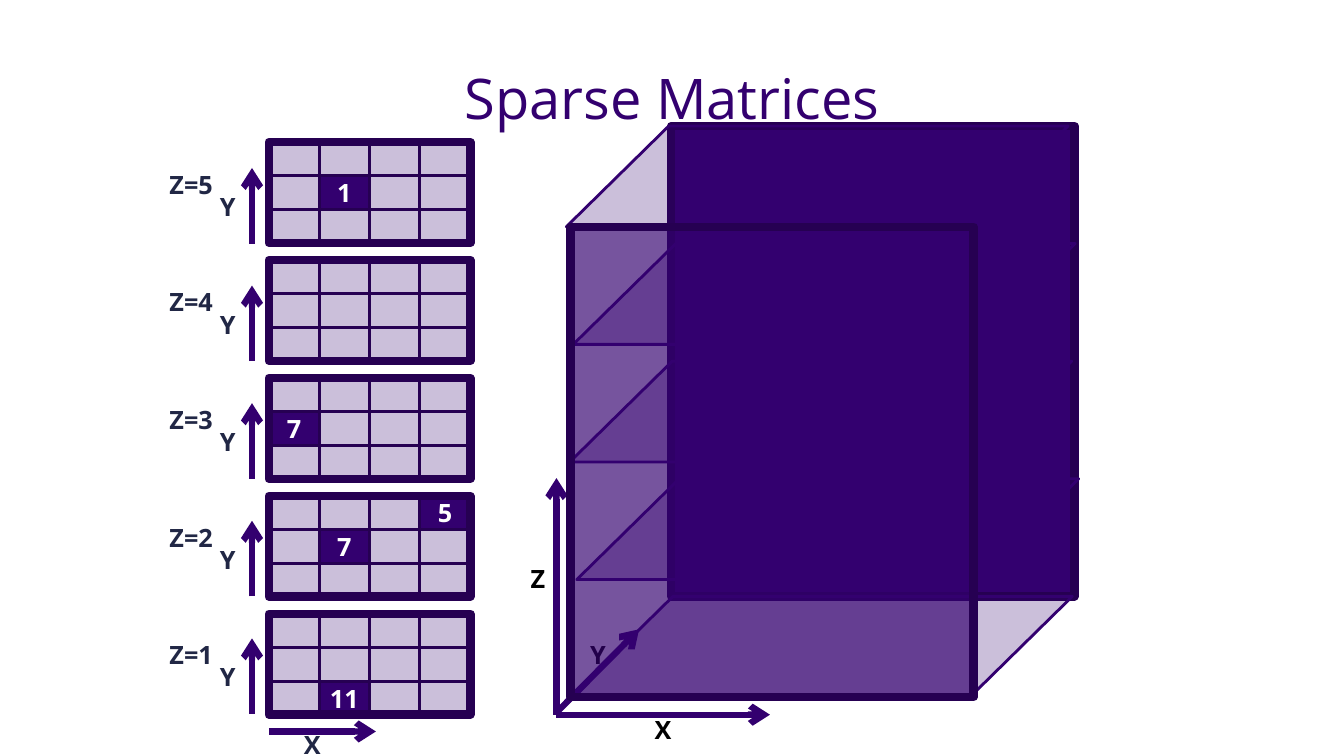
"""Build a slide that shows sparse matrix layers next to the cube they form."""
from dataclasses import dataclass

from lxml import etree
from pptx import Presentation
from pptx.dml.color import RGBColor
from pptx.enum.shapes import MSO_CONNECTOR, MSO_SHAPE
from pptx.enum.text import MSO_ANCHOR, MSO_AUTO_SIZE, PP_ALIGN
from pptx.oxml.ns import qn
from pptx.util import Pt

RECTANGLE = MSO_SHAPE.RECTANGLE
PARALLELOGRAM = MSO_SHAPE.PARALLELOGRAM
STRAIGHT = MSO_CONNECTOR.STRAIGHT
MIDDLE = MSO_ANCHOR.MIDDLE
NO_AUTOFIT = MSO_AUTO_SIZE.NONE
LEFT, CENTER = PP_ALIGN.LEFT, PP_ALIGN.CENTER


@dataclass(frozen=True)
class Theme:
    font: str = "Open Sans"
    purple: RGBColor = RGBColor.from_string("33006F")
    outline: RGBColor = RGBColor.from_string("260052")
    navy: RGBColor = RGBColor.from_string("212745")
    black: RGBColor = RGBColor.from_string("000000")
    white: RGBColor = RGBColor.from_string("FFFFFF")
    title_size: Pt = Pt(40)
    label_size: Pt = Pt(18)
    thin: Pt = Pt(2)
    arrow: Pt = Pt(4.5)
    thick: Pt = Pt(6)


theme = Theme()
presentation = Presentation()
presentation.slide_width, presentation.slide_height = Pt(960), Pt(540)
slide = presentation.slides.add_slide(presentation.slide_layouts[5])


def add_box(left, top, width, height, kind=None, opacity=0, line_color=theme.outline,
            weight=theme.thin, text="", text_color=theme.white, alignment=CENTER):
    """Add a shape of the given kind, or a text box when there is no kind."""
    place = Pt(left), Pt(top), Pt(width), Pt(height)
    if kind is None:
        shape = slide.shapes.add_textbox(*place)
    else:
        shape = slide.shapes.add_shape(kind, *place)
        shape.shadow.inherit = False
        shape.line.color.rgb = line_color
        shape.line.width = weight
        if opacity:
            shape.fill.solid()
            shape.fill.fore_color.rgb = theme.purple
            color = shape.element.spPr.find(qn("a:solidFill")).find(qn("a:srgbClr"))
            etree.SubElement(color, qn("a:alpha"), val=str(opacity * 1000))
        else:
            shape.fill.background()
    if text:
        frame = shape.text_frame
        frame.word_wrap = True
        frame.vertical_anchor = MIDDLE
        paragraph = frame.paragraphs[0]
        paragraph.text = text
        paragraph.alignment = alignment
        label_format = {"name": theme.font, "size": theme.label_size, "bold": True}
        for name, value in label_format.items():
            setattr(paragraph.font, name, value)
        paragraph.font.color.rgb = text_color
    return shape


def add_arrow(start_x, start_y, end_x, end_y):
    """Add a straight arrow that points at its end."""
    arrow = slide.shapes.add_connector(
        STRAIGHT, Pt(start_x), Pt(start_y), Pt(end_x), Pt(end_y))
    arrow.line.color.rgb = theme.purple
    arrow.line.width = theme.arrow
    etree.SubElement(arrow.line._get_or_add_ln(), qn("a:tailEnd"), type="arrow")
    etree.SubElement(arrow.element.spPr, qn("a:effectLst"))


title = slide.shapes.title
title_place = {"left": Pt(34), "top": Pt(22.5), "width": Pt(892), "height": Pt(93)}
for name, value in title_place.items():
    setattr(title, name, value)
title.text_frame.text = "Sparse Matrices"
title.text_frame.auto_size = NO_AUTOFIT
title.text_frame.vertical_anchor = MIDDLE
title_paragraph = title.text_frame.paragraphs[0]
title_paragraph.alignment = CENTER
title_format = {"name": theme.font, "size": theme.title_size, "bold": False}
for name, value in title_format.items():
    setattr(title_paragraph.font, name, value)
title_paragraph.font.color.rgb = theme.purple

cube_axes = [
    ("Y", 414.5, 455.5, (397.5, 509, 456.5, 449.5)),
    ("Z", 372, 401, (397.5, 510.5, 397.5, 341.5)),
    ("X", 460.5, 509, (397.5, 510.5, 550, 510.5)),
]
for axis, left, top, ends in cube_axes:
    add_box(left, top, 18, 24, text=axis, text_color=theme.black)
    add_arrow(*ends)

add_box(479.5, 90, 288, 336, RECTANGLE, 100, weight=theme.thick)
for level, left in enumerate([404.5, 409.5, 407, 412, 407.5]):
    plane = add_box(left, 90 + 84 * level, 358.5, 72, PARALLELOGRAM, 25, theme.purple)
    plane.adjustments[0] = 1.017
add_box(407.5, 162, 288, 336, RECTANGLE, 67, weight=theme.thick)

layers = [
    ("Z=5", {(1, 1): "1"}),
    ("Z=4", {}),
    ("Z=3", {(1, 0): "7"}),
    ("Z=2", {(0, 3): "5", (1, 1): "7"}),
    ("Z=1", {(2, 1): "11"}),
]
grid_left, cell_width, cell_height = 192, 36, 24
for index, (layer, values) in enumerate(layers):
    offset = 84 * index
    grid_top = 101.5 + 84.25 * index
    add_arrow(180, 174 + offset, 180, 120 + offset)
    add_box(150, 135.5 + offset, 18, 24, text="Y", text_color=theme.navy)
    add_box(114, 119.5 + offset, 72, 24, text=layer, text_color=theme.navy, alignment=LEFT)
    for row in range(3):
        for column in range(4):
            value = values.get((row, column), "")
            add_box(grid_left + column * cell_width, grid_top + row * cell_height,
                    cell_width, cell_height, RECTANGLE, 100 if value else 25, text=value)
    add_box(grid_left, grid_top, 4 * cell_width, 3 * cell_height, RECTANGLE,
            weight=theme.thick)

add_arrow(192, 522.5, 268.5, 522.5)
add_box(210, 520, 18, 24, text="X", text_color=theme.navy)

presentation.save("out.pptx")
